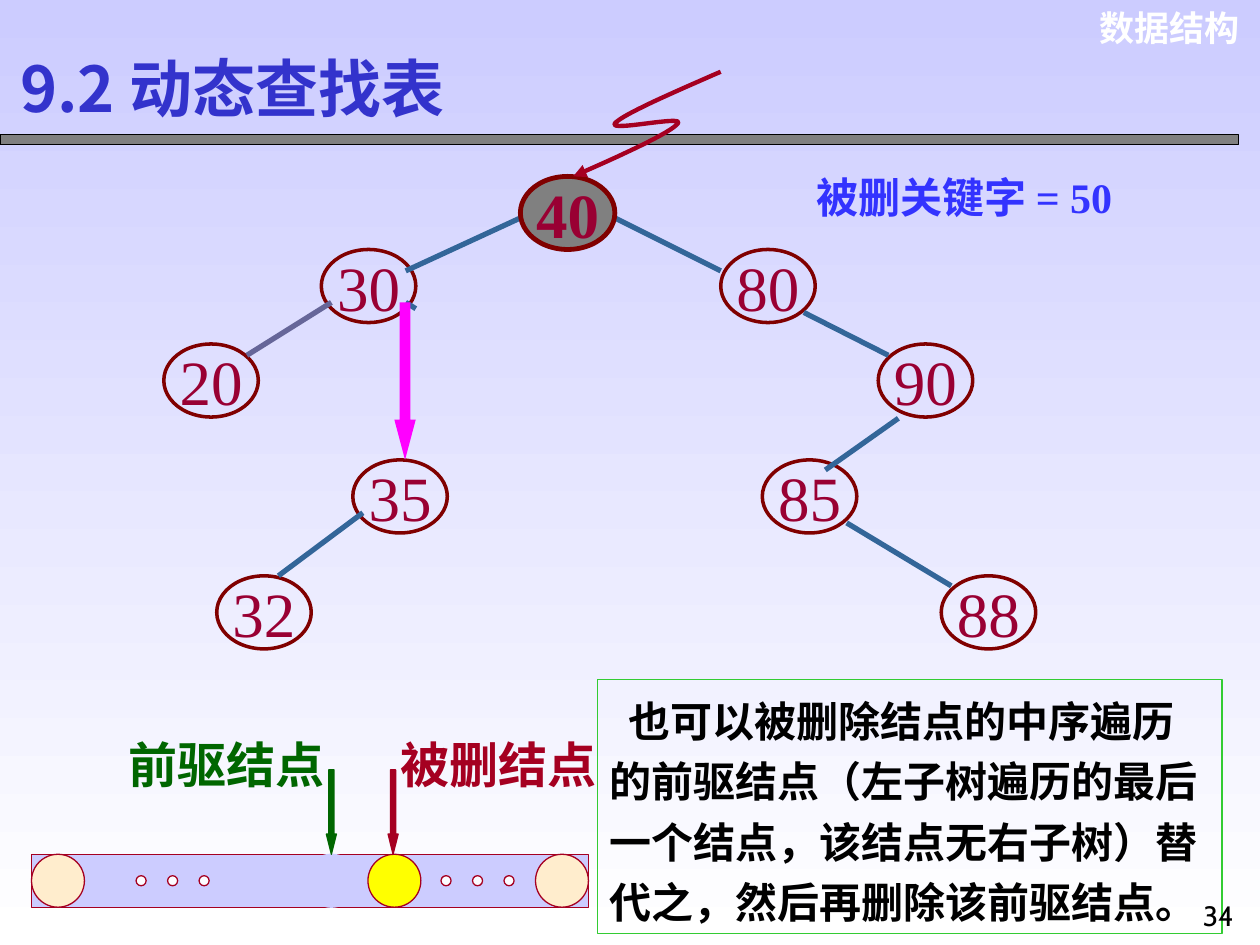
from dataclasses import dataclass

import pptx
import pptx.dml.color
import pptx.enum.shapes
import pptx.enum.text
import pptx.oxml.ns
import pptx.util
from lxml import etree
from pptx.dml.color import RGBColor
from pptx.enum.shapes import MSO_CONNECTOR, MSO_SHAPE
from pptx.enum.text import MSO_ANCHOR, MSO_AUTO_SIZE, PP_ALIGN
from pptx.util import Inches

LAVENDER = RGBColor(0xCC, 0xCC, 0xFF)
WHITE = RGBColor(0xFF, 0xFF, 0xFF)
BLACK = RGBColor(0x00, 0x00, 0x00)
GRAY = RGBColor(0x80, 0x80, 0x80)
MAROON = RGBColor(0x80, 0x00, 0x00)
CRIMSON = RGBColor(0x99, 0x00, 0x33)
RED = RGBColor(0xA5, 0x00, 0x21)
GREEN = RGBColor(0x00, 0x66, 0x00)
BORDER_GREEN = RGBColor(0x33, 0xCC, 0x33)
STEEL = RGBColor(0x33, 0x66, 0x99)
SLATE = RGBColor(0x66, 0x66, 0x99)
BLUE = RGBColor(0x33, 0x33, 0xFF)
TITLE_BLUE = RGBColor(0x33, 0x33, 0xCC)
MAGENTA = RGBColor(0xFF, 0x00, 0xFF)
CREAM = RGBColor(0xFF, 0xED, 0xCD)
YELLOW = RGBColor(0xFF, 0xFF, 0x00)
PALE = RGBColor(0xFC, 0xFC, 0xFF)

SERIF = "Times New Roman"
CHINESE = "Noto Sans CJK SC"
NODE_WIDTH, NODE_HEIGHT = 0.75, 0.58
BAR_TOP, BAR_HEIGHT = 6.78, 0.42


@dataclass
class Node:
    key: str
    left: float
    top: float
    fill: RGBColor | None = None
    line_width: float = 2
    bold: bool = False


@dataclass
class Edge:
    start: tuple[float, float]
    end: tuple[float, float]
    color: RGBColor = STEEL


@dataclass
class Label:
    text: str
    box: tuple[float, float, float, float]
    size: float
    color: RGBColor
    font: str = SERIF
    bold: bool = True
    align: PP_ALIGN = PP_ALIGN.LEFT
    wrap: bool = True


NODES = [
    Node("30", 2.55, 1.98), Node("80", 5.72, 1.98),
    Node("20", 1.3, 2.73), Node("90", 6.97, 2.73),
    Node("35", 2.8, 3.65), Node("85", 6.05, 3.65),
    Node("32", 1.72, 4.57), Node("88", 7.47, 4.57),
]
ROOT = Node("40", 4.13, 1.4, GRAY, 2.75, True)
EDGES = [
    Edge((4.13, 1.73), (3.22, 2.15)), Edge((4.88, 1.73), (5.72, 2.15)),
    Edge((2.63, 2.4), (1.96, 2.82), SLATE), Edge((3.22, 2.4), (3.3, 2.45)),
    Edge((6.38, 2.48), (7.05, 2.82)), Edge((7.13, 3.32), (6.55, 3.73)),
    Edge((6.72, 4.15), (7.55, 4.65)), Edge((2.88, 4.07), (2.21, 4.57)),
]
LABELS = [
    Label("数据结构", (8.57, 0, 1.37, 0.44), 20, WHITE, "Arial", align=PP_ALIGN.RIGHT),
    Label("被删关键字 = 50", (6.38, 1.31, 2.86, 0.5), 24, BLUE),
    Label("34", (9.42, 7.08, 0.5, 0.42), 16, BLACK, "Cabin", False, PP_ALIGN.CENTER),
    Label("被删结点", (3.08, 5.78, 1.75, 0.57), 28, RED, wrap=False),
    Label("前驱结点", (0.92, 5.78, 1.75, 0.57), 28, GREEN, wrap=False),
]
EXPLANATION = Label(
    "也可以被删除结点的中序遍历的前驱结点（左子树遍历的最后一个结点，"
    "该结点无右子树）替代之，然后再删除该前驱结点。",
    (4.74, 5.39, 4.96, 2.02), 24, BLACK)
TITLE = Label("9.2 动态查找表", (0.06, 0.34, 3.88, 1.3), 36, TITLE_BLUE, CHINESE)
POINTER_CURVES = [
    ((5.72, 0.57), (5.33, 0.74), (4.94, 0.91), (4.88, 0.98)),
    ((4.88, 0.98), (4.83, 1.05), (5.44, 0.91), (5.38, 0.98)),
    ((5.38, 0.98), (5.33, 1.05), (4.94, 1.23), (4.55, 1.4)),
]


def add_child(parent, tag: str, **attributes: str):
    return etree.SubElement(parent, pptx.oxml.ns.qn(tag), **attributes)


def write_text(shape, label: Label):
    frame = shape.text_frame
    frame.word_wrap = label.wrap
    paragraph = frame.paragraphs[0]
    paragraph.text = label.text
    paragraph.alignment = label.align
    font = paragraph.font
    font.name = label.font
    font.size = pptx.util.Pt(label.size)
    font.bold = label.bold
    font.color.rgb = label.color
    add_child(font._element, "a:ea", typeface=CHINESE)
    return paragraph


def add_label(slide, label: Label):
    shape = slide.shapes.add_textbox(*map(Inches, label.box))
    write_text(shape, label)
    shape.text_frame.auto_size = MSO_AUTO_SIZE.SHAPE_TO_FIT_TEXT
    return shape


def add_figure(slide, kind: MSO_SHAPE, box: tuple[float, float, float, float],
               fill: RGBColor | None, line: RGBColor | None, width: float = 0.75):
    shape = slide.shapes.add_shape(kind, *map(Inches, box))
    shape.shadow.inherit = False
    if fill is None:
        shape.fill.background()
    else:
        shape.fill.solid()
        shape.fill.fore_color.rgb = fill
    if line is None:
        shape.line.fill.background()
    else:
        shape.line.color.rgb = line
        shape.line.width = pptx.util.Pt(width)
    return shape


def add_node(slide, node: Node) -> None:
    box = (node.left, node.top, NODE_WIDTH, NODE_HEIGHT)
    shape = add_figure(slide, MSO_SHAPE.OVAL, box, node.fill, MAROON, node.line_width)
    write_text(shape, Label(node.key, box, 36, CRIMSON, bold=node.bold,
                            align=PP_ALIGN.CENTER, wrap=False))
    shape.text_frame.vertical_anchor = MSO_ANCHOR.MIDDLE


def add_edge(slide, edge: Edge) -> None:
    connector = slide.shapes.add_connector(
        MSO_CONNECTOR.STRAIGHT, *map(Inches, edge.start + edge.end))
    connector.line.color.rgb = edge.color
    connector.line.width = pptx.util.Pt(3)
    add_child(connector._element.spPr, "a:effectLst")


def add_down_arrow(slide, box: tuple[float, float, float, float], head: float,
                   fill: RGBColor, line: RGBColor | None) -> None:
    arrow = add_figure(slide, MSO_SHAPE.DOWN_ARROW, box, fill, line)
    arrow.adjustments[0] = 0.5
    arrow.adjustments[1] = head


def add_pointer(slide) -> None:
    steps = 16
    points = []
    for curve in POINTER_CURVES:
        for step in range(1, steps + 1):
            t = step / steps
            weights = ((1 - t) ** 3, 3 * t * (1 - t) ** 2, 3 * t * t * (1 - t), t ** 3)
            points.append(tuple(
                Inches(sum(weight * value for weight, value in zip(weights, axis)))
                for axis in zip(*curve)))
    builder = slide.shapes.build_freeform(*map(Inches, POINTER_CURVES[0][0]))
    builder.add_line_segments(points, close=False)
    pointer = builder.convert_to_shape()
    pointer.shadow.inherit = False
    pointer.fill.background()
    pointer.line.color.rgb = RED
    pointer.line.width = pptx.util.Pt(2.5)
    add_child(pointer.line._get_or_add_ln(), "a:tailEnd", type="triangle")


def add_sequence_bar(slide) -> None:
    add_figure(slide, MSO_SHAPE.RECTANGLE, (0.25, BAR_TOP, 4.42, BAR_HEIGHT), LAVENDER, RED)
    for left, fill, line in [(0.25, CREAM, RED), (4.25, CREAM, RED),
                             (2.92, YELLOW, RED), (2.42, LAVENDER, LAVENDER)]:
        add_figure(slide, MSO_SHAPE.OVAL, (left, BAR_TOP, BAR_HEIGHT, BAR_HEIGHT), fill, line)
    for first in (1.08, 3.5):
        for index in range(3):
            add_figure(slide, MSO_SHAPE.OVAL, (first + 0.25 * index, 6.95, 0.08, 0.08), PALE, RED)
    for left, color in [(3.08, RED), (2.59, GREEN)]:
        add_down_arrow(slide, (left, 6.11, 0.08, 0.67), 2, color, color)


def main() -> None:
    presentation = pptx.Presentation()
    presentation.slide_width, presentation.slide_height = Inches(10), Inches(7.5)
    slide = presentation.slides.add_slide(presentation.slide_layouts[5])
    background = slide.background.fill
    background.gradient()
    background.gradient_angle = 270
    for stop, color in zip(background.gradient_stops, (LAVENDER, WHITE)):
        stop.color.rgb = color

    title = slide.shapes.title
    title.left, title.top, title.width, title.height = map(Inches, TITLE.box)
    write_text(title, TITLE)
    title.text_frame.vertical_anchor = MSO_ANCHOR.TOP

    add_figure(slide, MSO_SHAPE.RECTANGLE, (0, 1.07, 9.83, 0.08), GRAY, BLACK)
    for node in NODES:
        add_node(slide, node)
    for edge in EDGES:
        add_edge(slide, edge)
    add_node(slide, ROOT)
    add_down_arrow(slide, (3.13, 2.4, 0.17, 1.25), 1.88, MAGENTA, None)
    add_pointer(slide)
    add_sequence_bar(slide)

    explanation = add_label(slide, EXPLANATION)
    explanation.line.color.rgb = BORDER_GREEN
    explanation.line.width = pptx.util.Pt(0.75)
    paragraph = explanation.text_frame.paragraphs[0]
    paragraph.line_spacing = 1.2
    paragraph._p.get_or_add_pPr().set("indent", str(Inches(0.15)))
    for label in LABELS:
        add_label(slide, label)
    presentation.save("out.pptx")


if __name__ == "__main__":
    main()
